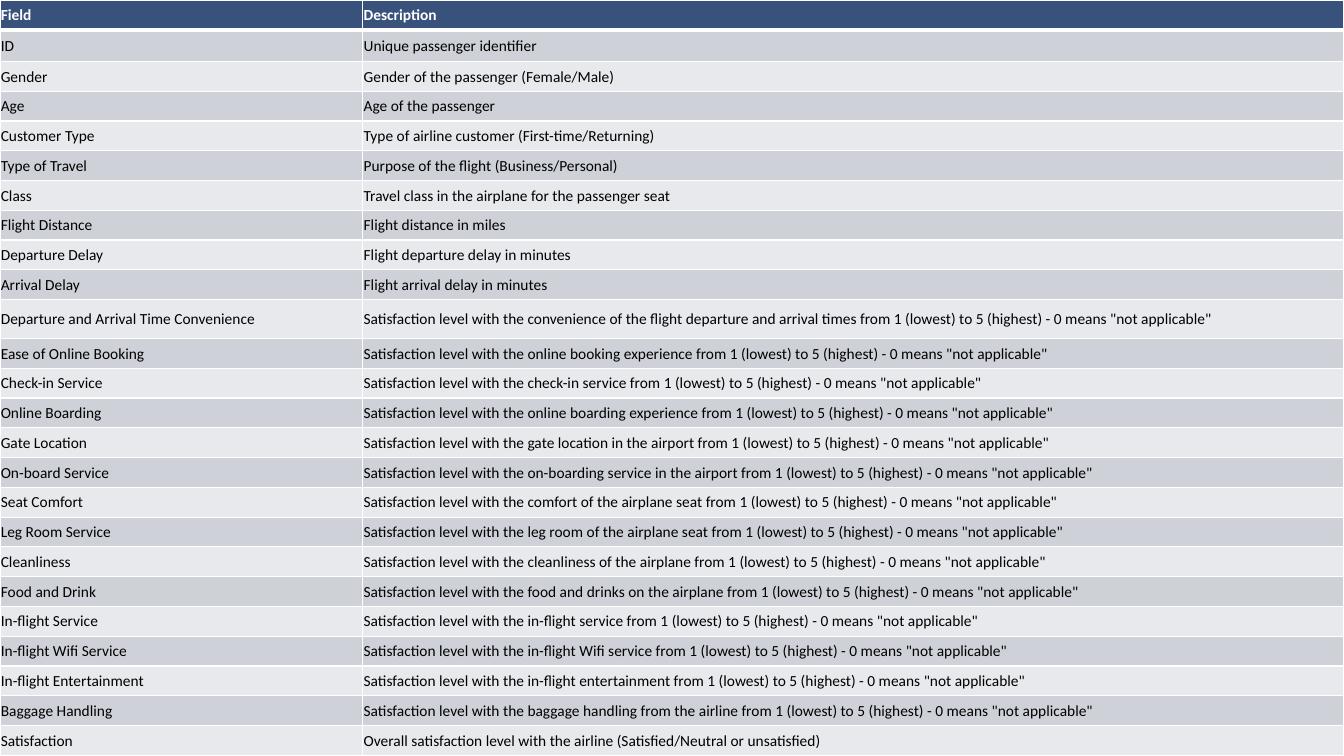
"""Build a slide with the data dictionary of an airline satisfaction survey."""
from copy import deepcopy

from lxml import etree
from pptx import Presentation
from pptx.dml.color import RGBColor
from pptx.enum.text import MSO_ANCHOR
from pptx.oxml.ns import qn
from pptx.util import Cm, Pt

MIDDLE = MSO_ANCHOR.MIDDLE
BLANK_LAYOUT = 6
COLORS = {
    "header": "39527B",
    "odd_row": "CED1D7",
    "even_row": "E8E9EC",
    "border": "FFFFFF",
    "header_text": "FFFFFF",
    "text": "000000",
}
BACKGROUND_STOPS = [(0, "ECF3F8"), (0.58, "D9E6F2"), (1, "A1C1DE")]

SLIDE_WIDTH, SLIDE_HEIGHT = 33.87, 19.05
FIELD_SHARE = 0.27
ROW_HEIGHT = 0.75
SPECIAL_HEIGHTS = {0: 0.76, 1: 0.79, 10: 0.98}

HEADER = ("Field", "Description")
PASSENGER_FIELDS = [
    ("ID", "Unique passenger identifier"),
    ("Gender", "Gender of the passenger (Female/Male)"),
    ("Age", "Age of the passenger"),
    ("Customer Type", "Type of airline customer (First-time/Returning)"),
    ("Type of Travel", "Purpose of the flight (Business/Personal)"),
    ("Class", "Travel class in the airplane for the passenger seat"),
    ("Flight Distance", "Flight distance in miles"),
    ("Departure Delay", "Flight departure delay in minutes"),
    ("Arrival Delay", "Flight arrival delay in minutes"),
]
RATED_FIELDS = [
    ("Departure and Arrival Time Convenience",
     "convenience of the flight departure and arrival times"),
    ("Ease of Online Booking", "online booking experience"),
    ("Check-in Service", "check-in service"),
    ("Online Boarding", "online boarding experience"),
    ("Gate Location", "gate location in the airport"),
    ("On-board Service", "on-boarding service in the airport"),
    ("Seat Comfort", "comfort of the airplane seat"),
    ("Leg Room Service", "leg room of the airplane seat"),
    ("Cleanliness", "cleanliness of the airplane"),
    ("Food and Drink", "food and drinks on the airplane"),
    ("In-flight Service", "in-flight service"),
    ("In-flight Wifi Service", "in-flight Wifi service"),
    ("In-flight Entertainment", "in-flight entertainment"),
    ("Baggage Handling", "baggage handling from the airline"),
]
OUTCOME = ("Satisfaction",
           "Overall satisfaction level with the airline (Satisfied/Neutral or unsatisfied)")


def rating_description(subject):
    """Return the description of a field rated from 1 to 5."""
    return (f"Satisfaction level with the {subject} from 1 (lowest) to 5 (highest)"
            ' - 0 means "not applicable"')


def set_background(slide):
    """Fill the slide background with a three-stop gradient."""
    fill = slide.background.fill
    fill.gradient()
    fill.gradient_angle = 70
    stop_list = slide.element.find(".//" + qn("a:gsLst"))
    stop_list.append(deepcopy(stop_list[0]))
    for stop, (position, color) in zip(fill.gradient_stops, BACKGROUND_STOPS):
        stop.position = position
        stop.color.rgb = RGBColor.from_string(color)


def write_text(cell, text, size=11, font="Calibri", color="text", bold=False):
    """Put formatted text in a table cell."""
    paragraph = cell.text_frame.paragraphs[0]
    run = paragraph.add_run()
    run.text = text
    run.font.size = Pt(size)
    run.font.name = font
    run.font.bold = bold
    run.font.color.rgb = RGBColor.from_string(COLORS[color])


def set_borders(cell, top=1, bottom=1):
    """Draw the four borders of a cell, with widths in points."""
    properties = cell._tc.get_or_add_tcPr()
    for side, width in (("L", 1), ("R", 1), ("T", top), ("B", bottom)):
        line = etree.SubElement(properties, qn(f"a:ln{side}"), w=str(Pt(width)))
        fill = etree.SubElement(line, qn("a:solidFill"))
        etree.SubElement(fill, qn("a:srgbClr"), val=COLORS["border"])


def format_cell(cell, row_index):
    """Set the margins, borders and banded fill of a cell."""
    cell.vertical_anchor = MIDDLE
    cell.margin_left = cell.margin_right = cell.margin_top = Cm(0.02)
    cell.margin_bottom = Cm(0)
    set_borders(cell, top=3 if row_index == 1 else 1, bottom=3 if row_index == 0 else 1)
    band = "header" if row_index == 0 else "odd_row" if row_index % 2 else "even_row"
    cell.fill.solid()
    cell.fill.fore_color.rgb = RGBColor.from_string(COLORS[band])


def add_field_table(slide, rows, left, top, width, height):
    """Add the table of fields and descriptions in the given box."""
    shape = slide.shapes.add_table(len(rows), len(HEADER), Cm(left), Cm(top),
                                   Cm(width), Cm(height))
    table = shape.table
    table.columns[0].width = Cm(width * FIELD_SHARE)
    table.columns[1].width = Cm(width * (1 - FIELD_SHARE))
    for row_index, texts in enumerate(rows):
        is_header = row_index == 0
        table.rows[row_index].height = Cm(SPECIAL_HEIGHTS.get(row_index, ROW_HEIGHT))
        for column_index, text in enumerate(texts):
            cell = table.cell(row_index, column_index)
            format_cell(cell, row_index)
            write_text(cell, text, color="header_text" if is_header else "text",
                       bold=is_header)


def main():
    """Create the presentation and save it."""
    presentation = Presentation()
    presentation.slide_width = Cm(SLIDE_WIDTH)
    presentation.slide_height = Cm(SLIDE_HEIGHT)
    slide = presentation.slides.add_slide(presentation.slide_layouts[BLANK_LAYOUT])
    set_background(slide)
    rated_rows = [(field, rating_description(subject)) for field, subject in RATED_FIELDS]
    rows = [HEADER, *PASSENGER_FIELDS, *rated_rows, OUTCOME]
    add_field_table(slide, rows, 0, 0, SLIDE_WIDTH, SLIDE_HEIGHT)
    presentation.save("out.pptx")


if __name__ == "__main__":
    main()
